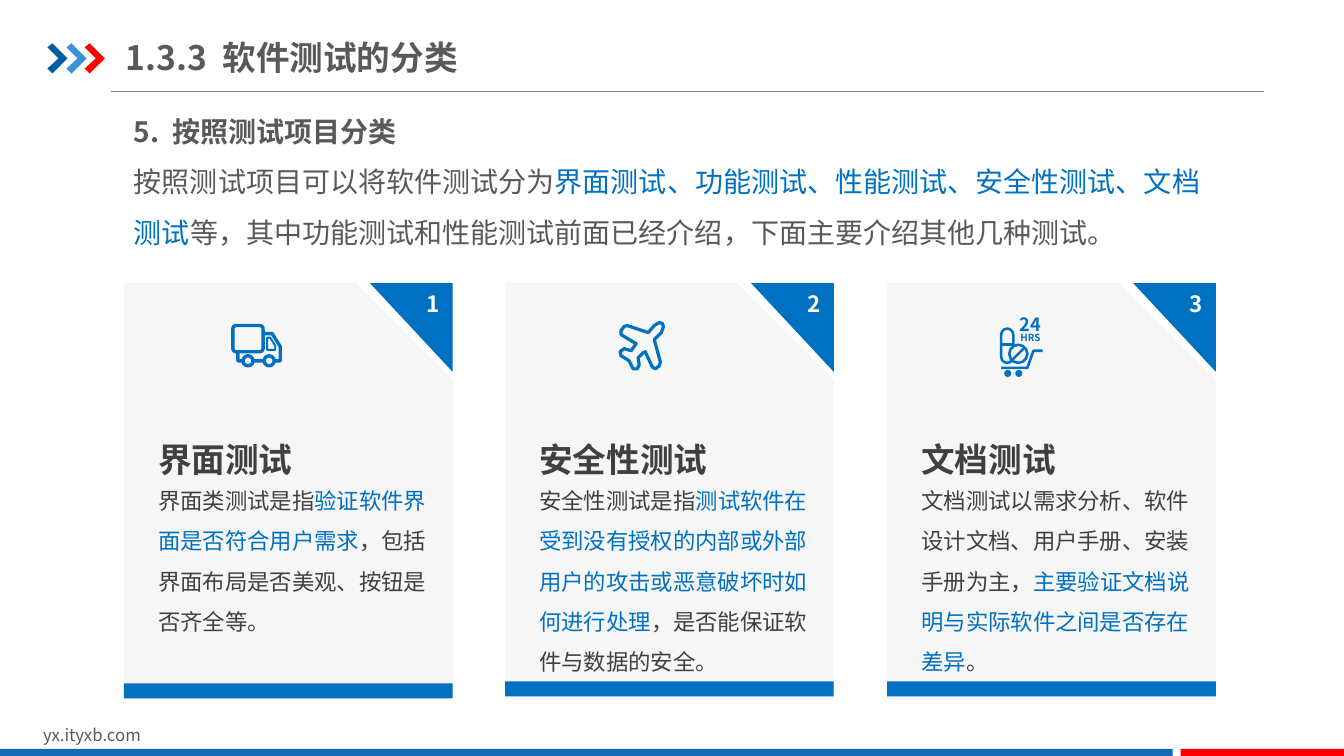
import pptx
import pptx.dml.color
import pptx.enum.shapes
import pptx.enum.text
import pptx.oxml.ns
import pptx.util
from lxml import etree

SCALE = 9144  # EMU per px, 100 px to the inch
FONT = "Noto Sans CJK SC"
COLORS = {
    "text": "595959", "dark": "404040", "blue": "0070C0", "white": "FFFFFF",
    "card": "F6F6F6", "rule": "808080", "red": "FF0000", "footer": "1369B2",
    "navy": "005DA2", "sky": "3992DB",
}
SHAPE = pptx.enum.shapes.MSO_SHAPE
ALIGN = pptx.enum.text.PP_ALIGN
ANCHOR = pptx.enum.text.MSO_ANCHOR
qn = pptx.oxml.ns.qn


def px(n):
    return pptx.util.Emu(n * SCALE)


def rgb(name):
    return pptx.dml.color.RGBColor.from_string(COLORS[name])


class Deck:
    def __init__(self, width, height):
        self.prs = pptx.Presentation()
        self.prs.slide_width, self.prs.slide_height = px(width), px(height)
        self.s = self.prs.slides.add_slide(self.prs.slide_layouts[6])

    def paint(self, sp, fill=None, line=None, weight=1.0):
        sp.shadow.inherit = False
        if fill:
            sp.fill.solid()
            sp.fill.fore_color.rgb = rgb(fill)
        else:
            sp.fill.background()
        if line:
            sp.line.color.rgb = rgb(line)
            sp.line.width = pptx.util.Pt(weight)
        else:
            sp.line.fill.background()
        return sp

    def shape(self, kind, box, fill=None, line=None, weight=1.0, adj=None):
        sp = self.s.shapes.add_shape(kind, *map(px, box))
        if adj is not None:
            sp.adjustments[0] = adj
        return self.paint(sp, fill, line, weight)

    def outline(self, points, fill=None, line=None, weight=1.0, close=True):
        fb = self.s.shapes.build_freeform(*points[0], scale=SCALE)
        fb.add_line_segments(points[1:], close=close)
        return self.paint(fb.convert_to_shape(), fill, line, weight)

    def line(self, start, end, color, weight):
        cx = self.s.shapes.add_connector(
            pptx.enum.shapes.MSO_CONNECTOR.STRAIGHT, *map(px, start + end))
        cx.line.color.rgb = rgb(color)
        cx.line.width = pptx.util.Pt(weight)
        etree.SubElement(cx._element.spPr, qn("a:effectLst"))

    def text(self, box, paragraphs, **style):
        sp = self.s.shapes.add_textbox(*map(px, box))
        self.set_text(sp, paragraphs, **style)

    def set_text(self, sp, paragraphs, size, bold=False, align=ALIGN.LEFT,
                 anchor=ANCHOR.TOP, inset=(10, 5), spacing=None, wrap=True):
        """Each paragraph is a list of runs: (text, colour[, tracking])."""
        tf = sp.text_frame
        tf.word_wrap = wrap
        tf.vertical_anchor = anchor
        tf.margin_left = tf.margin_right = px(inset[0])
        tf.margin_top = tf.margin_bottom = px(inset[1])
        for i, runs in enumerate(paragraphs):
            p = tf.add_paragraph() if i else tf.paragraphs[0]
            p.alignment = align
            if spacing:
                p.line_spacing = spacing
            base = runs[0][1]
            p.font.size = pptx.util.Pt(size)
            p.font.bold = bold and i == 0
            p.font.color.rgb = rgb(base)
            p.font.name = FONT
            etree.SubElement(p._p.pPr.find(qn("a:defRPr")), qn("a:ea"), typeface=FONT)
            for words, color, *tracking in runs:
                r = p.add_run()
                r.text = words
                if color != base:
                    r.font.color.rgb = rgb(color)
                if tracking:
                    r._r.get_or_add_rPr().set("spc", str(tracking[0]))


def truck(deck):
    pen = dict(line="blue", weight=2.4)
    deck.outline([(236, 349), (236, 358), (278, 358), (278, 344), (270, 331), (261, 331)],
                 close=False, **pen)
    deck.shape(SHAPE.ROUNDED_RECTANGLE, (231, 323, 30, 26), "card", adj=0.12, **pen)
    deck.outline([(265, 335), (268, 335), (273, 343), (273, 347), (265, 347)],
                 line="blue", weight=1.4)
    for x in (246, 267):
        deck.shape(SHAPE.OVAL, (x - 5, 353, 10, 10), "card", **pen)


def plane(deck):
    deck.outline([
        (654, 320), (649, 323), (643, 330), (622, 323), (619, 324), (616, 328),
        (616, 332), (631, 341), (626, 348), (619, 346), (615, 349), (616, 353),
        (624, 358), (628, 366), (632, 366), (634, 362), (633, 355), (638, 350),
        (640, 349), (647, 364), (650, 366), (654, 363), (655, 359), (649, 337),
        (656, 330), (658, 324), (657, 321)], line="blue", weight=2.3)


def medicine_cart(deck):
    pen = dict(line="blue", weight=1.8)
    deck.shape(SHAPE.ROUNDED_RECTANGLE, (993, 326, 12, 34), adj=0.5, **pen)
    deck.line((993, 342), (1005, 342), "blue", 1.8)
    deck.shape(SHAPE.OVAL, (1001, 342, 18, 18), "card", **pen)
    deck.line((1004, 357), (1016, 345), "blue", 1.8)
    deck.outline([(993, 365), (1019, 365), (1025, 348), (1034, 348)], close=False, **pen)
    for x in (996, 1007):
        deck.shape(SHAPE.OVAL, (x, 367, 7, 7), "blue")
    for words, y, size in (("24", 322, 13), ("HRS", 335, 7)):
        deck.text((1002, y - 13, 40, 26), [[(words, "blue")]], size=size, bold=True,
                  align=ALIGN.CENTER, anchor=ANCHOR.MIDDLE, inset=(0, 0), wrap=False)


# left, bar top, icon, heading, body
CARDS = [
    (123, 678, truck, "界面测试",
     [("界面类测试是指", "dark"), ("验证软件界面是否符合用户需求", "blue"),
      ("，包括界面布局是否美观、按钮是否齐全等。", "dark")]),
    (501, 676, plane, "安全性测试",
     [("安全性测试是指", "dark"),
      ("测试软件在受到没有授权的内部或外部用户的攻击或恶意破坏时如何进行处理", "blue"),
      ("，是否能保证软件与数据的安全。", "dark")]),
    (880, 676, medicine_cart, "文档测试",
     [("文档测试以需求分析、软件设计文档、用户手册、安装手册为主，", "dark"),
      ("主要验证文档说明与实际软件之间是否存在差异", "blue"), ("。", "dark")]),
]


def main():
    deck = Deck(1333, 750)

    # Header: rule, chevrons, title
    deck.line((110, 91), (1254, 91), "rule", 0.75)
    for x, color in ((47, "navy"), (66, "sky"), (84, "red")):
        deck.outline([(x, 47), (x + 5, 43), (x + 20, 58), (x + 5, 73),
                      (x, 68), (x + 11, 58)], color)
    deck.text((125, 29, 426, 55),
              [[("1.3.3", "text"), (" ", "text", 540), ("软件测试的分类", "text")]],
              size=24, bold=True, anchor=ANCHOR.MIDDLE, inset=(0, 7))

    # Footer
    deck.text((33, 714, 318, 30), [[("yx.ityxb.com", "text")]], size=12)
    deck.shape(SHAPE.RECTANGLE, (0, 743, 1163, 9), "footer")
    deck.shape(SHAPE.RECTANGLE, (1171, 743, 163, 9), "red")

    # Introduction
    deck.text((123, 92, 1100, 124), [
        [("5.", "text"), (" ", "text", 450), ("按照测试项目分类", "text")],
        [("按照测试项目可以将软件测试分为", "text"),
         ("界面测试、功能测试、性能测试、安全性测试、文档测试", "blue"),
         ("等，其中功能测试和性能测试前面已经介绍，下面主要介绍其他几种测试。", "text")],
    ], size=20, bold=True, spacing=1.5)

    # Cards
    for number, (x, bar, icon, heading, body) in enumerate(CARDS, 1):
        deck.shape(SHAPE.SNIP_1_RECTANGLE, (x, 281, 326, 413), "card", adj=0.294)
        deck.shape(SHAPE.RECTANGLE, (x, bar, 326, 15), "blue")
        corner = deck.outline([(x + 326, 281), (x + 244, 281), (x + 326, 369)], "blue")
        deck.set_text(corner, [[(str(number), "white")]], size=16, bold=True,
                      align=ALIGN.RIGHT, inset=(13, 7))
        icon(deck)
        deck.text((x + 24, 465, 289, 212), [body], size=16, spacing=1.5)
        deck.text((x + 24, 410, 240, 71), [[(heading, "dark")]], size=24, bold=True,
                  spacing=1.5)

    deck.prs.save("out.pptx")


if __name__ == "__main__":
    main()
